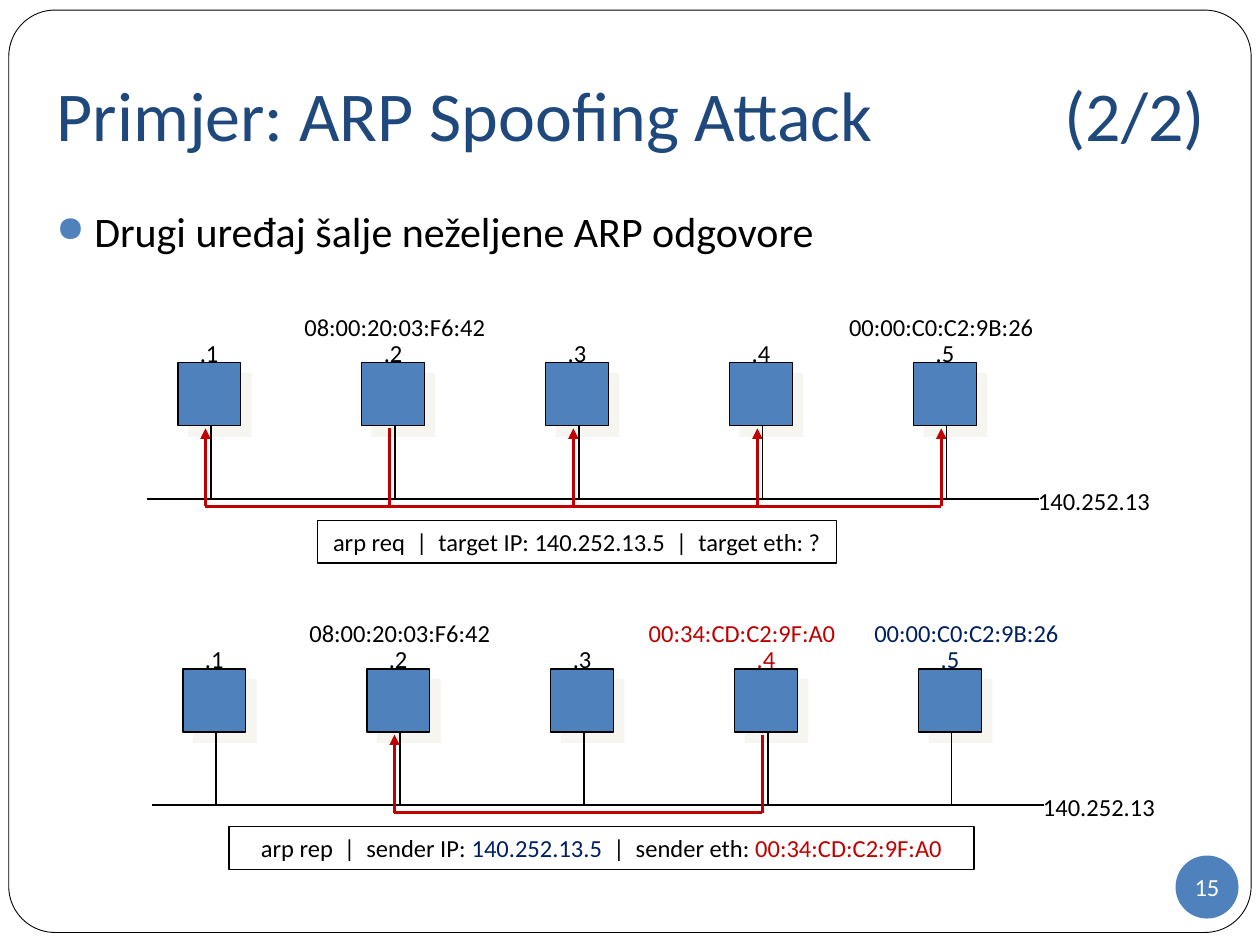
from dataclasses import dataclass

from lxml import etree
from pptx import Presentation
from pptx.dml.color import RGBColor
from pptx.enum.shapes import MSO_CONNECTOR as Line, MSO_SHAPE as Preset
from pptx.enum.text import MSO_ANCHOR as Anchor, MSO_AUTO_SIZE as Fit, PP_ALIGN as Align
from pptx.oxml import parse_xml
from pptx.oxml.ns import nsdecls, qn
from pptx.util import Inches, Pt


@dataclass(frozen=True)
class Theme:
    """Colours, font and type sizes of the deck."""
    ink: str = "000000"
    paper: str = "FFFFFF"
    title: str = "1F497D"
    accent: str = "4F81BD"
    alert: str = "C00000"
    owner: str = "002060"
    shade: str = "EEECE1"
    font: str = "Calibri"
    title_size: int = 40
    body_size: int = 24
    label_size: int = 14
    thin: float = 0.75
    thick: float = 1.5


@dataclass(frozen=True)
class Box:
    """Region of the slide, in inches, divided into columns and rows."""
    left: float
    top: float
    width: float
    height: float
    columns: int = 1
    rows: int = 1

    def x(self, column):
        """Return the horizontal place of a column."""
        return self.left + self.width * column / self.columns

    def y(self, row):
        """Return the vertical place of a row."""
        return self.top + self.height * row / self.rows

    def area(self, column, row, across, down):
        """Return the region that spans some columns and rows."""
        return Box(self.x(column), self.y(row), self.width * across / self.columns,
                   self.height * down / self.rows)

    def lengths(self):
        """Return left, top, width and height as lengths."""
        return [Inches(n) for n in (self.left, self.top, self.width, self.height)]


THEME = Theme()
SLIDE = Box(0, 0, 10, 7.5, 100, 100)


def colour(code):
    """Return a colour from its hex code."""
    return RGBColor.from_string(code)


def write(para, spans, size=THEME.label_size):
    """Add (text, colour) spans to a paragraph run by run."""
    for text, code in spans:
        span = para.add_run()
        span.text = text
        span.font.name, span.font.size = THEME.font, Pt(size)
        span.font.color.rgb = colour(code)


def shape(page, preset, box, fill, line=None, width=THEME.thin):
    """Draw a filled preset shape without a shadow."""
    item = page.shapes.add_shape(preset, *box.lengths())
    item.shadow.inherit = False
    item.fill.solid()
    item.fill.fore_color.rgb = colour(fill)
    if line:
        item.line.color.rgb = colour(line)
        item.line.width = Pt(width)
    else:
        item.line.fill.background()
    return item


def centre_text(item, spans):
    """Centre one line of text in a shape or text box."""
    frame = item.text_frame
    frame.word_wrap = False
    frame.vertical_anchor = Anchor.MIDDLE
    frame.paragraphs[0].alignment = Align.CENTER
    write(frame.paragraphs[0], spans)


def label(page, box, column, row, text, code=THEME.ink):
    """Place a text label centred on a point of the grid."""
    width, height = 1.7, 0.34
    place = Box(box.x(column) - width / 2, box.y(row) - height / 2, width, height)
    centre_text(page.shapes.add_textbox(*place.lengths()), [(text, code)])


def wire(page, box, start, end, code=THEME.ink, width=THEME.thin, arrow=False):
    """Draw a straight line between two points of the grid."""
    ends = [Inches(n) for column, row in (start, end) for n in (box.x(column), box.y(row))]
    item = page.shapes.add_connector(Line.STRAIGHT, *ends)
    item.line.color.rgb = colour(code)
    item.line.width = Pt(width)
    if arrow:
        outline = item._element.spPr.find(qn("a:ln"))
        etree.SubElement(outline, qn("a:tailEnd"), type="triangle")
    etree.SubElement(item._element.spPr, qn("a:effectLst"))


def host(page, box):
    """Draw a host square with its offset shadow."""
    item = shape(page, Preset.RECTANGLE, box, THEME.accent, THEME.ink)
    properties = item._element.spPr
    properties.remove(properties.find(qn("a:effectLst")))
    properties.append(parse_xml(
        f'<a:effectLst {nsdecls("a")}><a:outerShdw blurRad="0" dist="{Pt(8.5)}" dir="2700000" '
        f'algn="ctr" rotWithShape="0"><a:srgbClr val="{THEME.shade}"><a:alpha val="50000"/>'
        '</a:srgbClr></a:outerShdw></a:effectLst>'))


def network(page, box, addresses, host_colours, sender, receivers, message, span):
    """Draw five hosts on a bus, the route of a message and its fields."""
    bus, route, tip = 15.4, 16, 9.8
    wire(page, box, (0.16, bus), (5.01, bus), width=THEME.thick)
    for column in range(box.columns):
        host(page, box.area(column + 0.33, 4.6, 0.34, 5))
        wire(page, box, (column + 0.51, 9.6), (column + 0.51, bus))
        name = f".{column + 1}"
        label(page, box, column + 0.5, 3.8, name, host_colours.get(name, THEME.ink))
    label(page, box, 5.31, 15.5, "140.252.13")
    for column, text, code in addresses:
        label(page, box, column, 1.7, text, code)
    stops = [column + 0.48 for column in (sender, *receivers)]
    red = dict(code=THEME.alert, width=THEME.thick)
    wire(page, box, (stops[0], tip), (stops[0], route), **red)
    wire(page, box, (min(stops), route), (max(stops), route), **red)
    for stop in stops[1:]:
        wire(page, box, (stop, route), (stop, tip), arrow=True, **red)
    first, across = span
    fields = shape(page, Preset.RECTANGLE, box.area(first, 17.1, across, 3.4),
                   THEME.paper, THEME.ink)
    centre_text(fields, message)


def frame(page, box):
    """Draw the rounded page border."""
    border = shape(page, Preset.ROUNDED_RECTANGLE, box, THEME.paper, THEME.ink, 0.5)
    border.adjustments[0] = 0.05
    page.shapes._spTree.insert(2, border._element)


def heading(page, box, text):
    """Place the title, with tab stops for the number of the slide in its pair."""
    title = page.shapes.title
    title.left, title.top, title.width, title.height = box.lengths()
    body = title.text_frame
    body.auto_size, body.word_wrap = Fit.NONE, True
    body.vertical_anchor = Anchor.MIDDLE
    body.margin_bottom = Inches(0.1)
    para = body.paragraphs[0]
    para.alignment = Align.LEFT
    write(para, [(text, THEME.title)], THEME.title_size)
    stops = etree.SubElement(para._p.get_or_add_pPr(), qn("a:tabLst"))
    for place in (7, 8):
        etree.SubElement(stops, qn("a:tab"), pos=str(Inches(place)), algn="l")


def bullet(page, box, text):
    """Place one bulleted statement."""
    body = page.shapes.add_textbox(*box.lengths()).text_frame
    body.word_wrap = True
    para = body.paragraphs[0]
    para.space_before = Pt(5.8)
    write(para, [(text, THEME.ink)], THEME.body_size)
    rules = para._p.get_or_add_pPr()
    rules.set("marL", str(Inches(0.3)))
    rules.set("indent", str(-Inches(0.3)))
    mark = etree.SubElement(rules, qn("a:buClr"))
    etree.SubElement(mark, qn("a:srgbClr"), val=THEME.accent)
    etree.SubElement(rules, qn("a:buSzPct"), val="85000")
    etree.SubElement(rules, qn("a:buChar"), char="●")


def page_number(page, box, number):
    """Draw the round page number."""
    centre_text(shape(page, Preset.OVAL, box, THEME.accent), [(number, THEME.paper)])


def main():
    """Build the slide and save the deck."""
    deck = Presentation()
    deck.slide_width, deck.slide_height = SLIDE.lengths()[2:]
    page = deck.slides.add_slide(deck.slide_layouts[5])
    frame(page, SLIDE.area(0.7, 1.07, 98.6, 97.6))
    heading(page, SLIDE.area(3.5, 4, 93.7, 16.67), "Primjer: ARP Spoofing Attack \t\t(2/2)")
    bullet(page, SLIDE.area(3.5, 21.07, 93.7, 8), "Drugi uređaj šalje neželjene ARP odgovore")
    page_number(page, SLIDE.area(93.3, 90.53, 5, 6.67), "15")
    asker, target, forged = "08:00:20:03:F6:42", "00:00:C0:C2:9B:26", "00:34:CD:C2:9F:A0"
    network(page, Box(0.93, 2.42, 7.3, 2.1, 5, 21),
            [(1.51, asker, THEME.ink), (4.48, target, THEME.ink)], {}, 1, (0, 2, 3, 4),
            [("arp req  |  target IP: 140.252.13.5  |  target eth: ?", THEME.ink)], (1.09, 2.82))
    network(page, Box(0.97, 4.85, 7.3, 2.1, 5, 21),
            [(1.51, asker, THEME.ink), (3.37, forged, THEME.alert), (4.59, target, THEME.owner)],
            {".4": THEME.alert, ".5": THEME.owner}, 3, (1,),
            [("arp rep  |  sender IP: ", THEME.ink), ("140.252.13.5", THEME.owner),
             ("  |  sender eth: ", THEME.ink), (forged, THEME.alert)], (0.58, 4.05))
    deck.save("out.pptx")


main()
